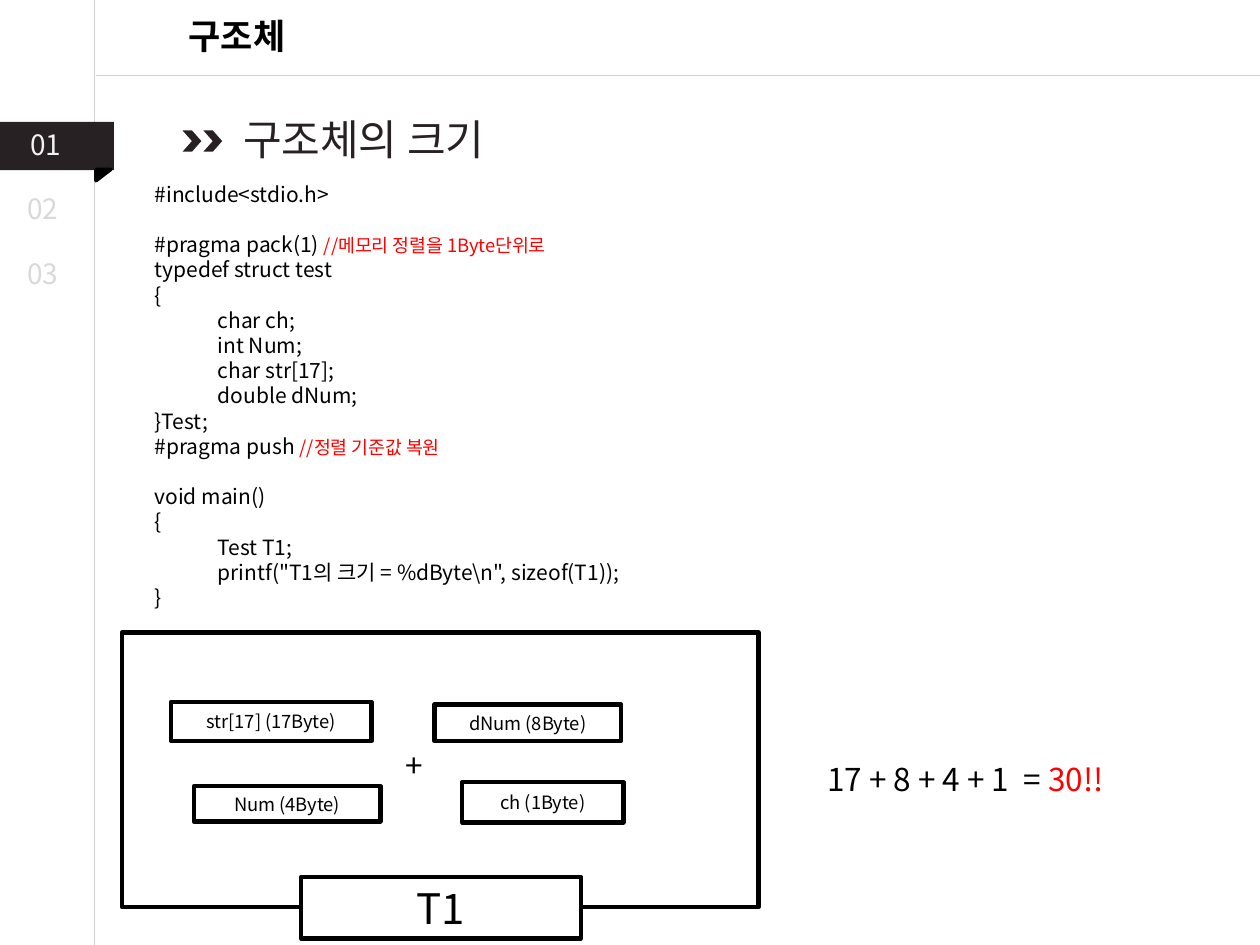
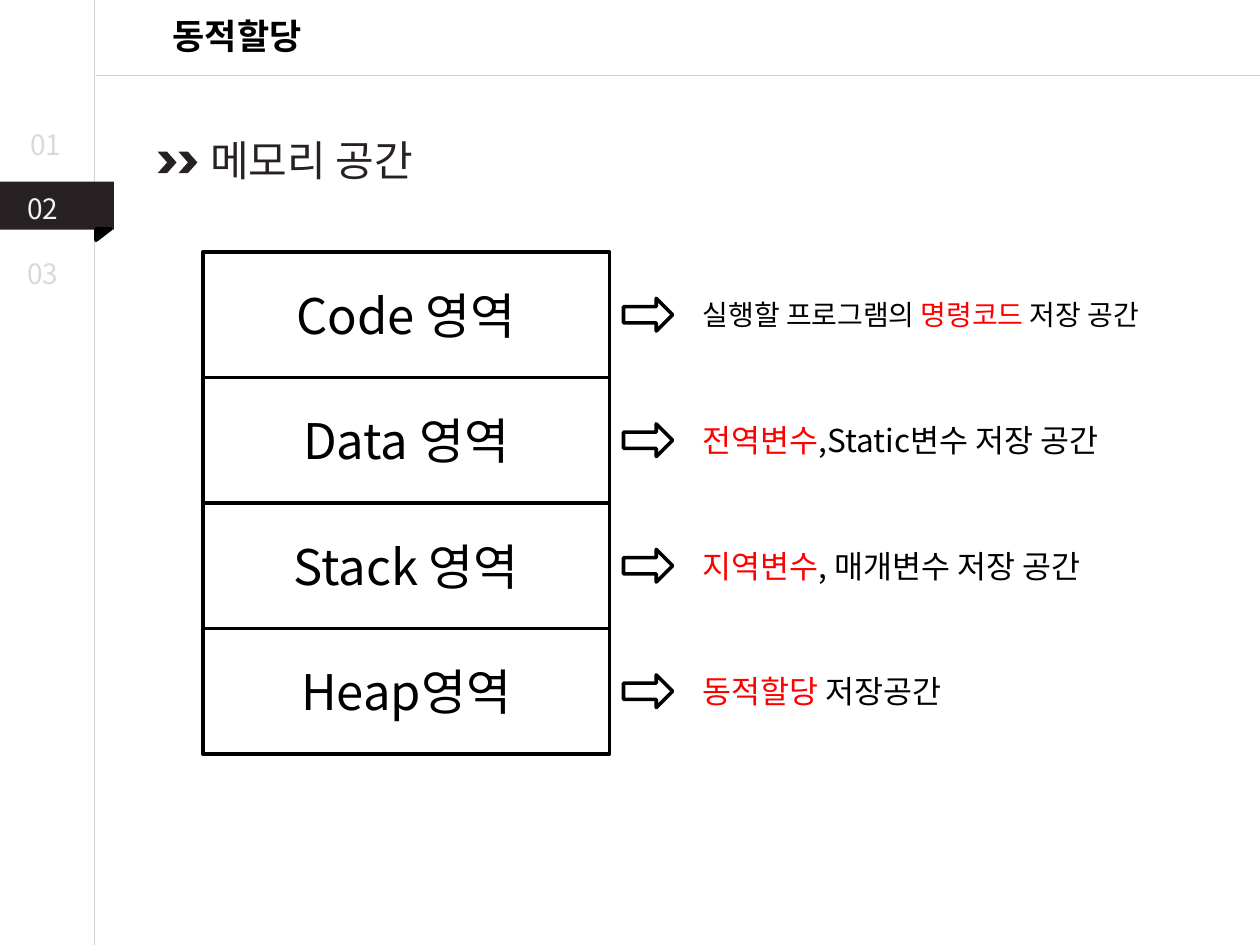
from lxml import etree
from pptx import Presentation
from pptx import util as u
from pptx.dml.color import RGBColor
from pptx.enum import shapes, text
from pptx.oxml import ns

FONT = "Noto Sans CJK KR"
HUES = {"ink": "000000", "dark": "272123", "red": "FF0000", "rule": "D2D2D2",
        "pale": "D9D9D9", "lit": "F2F2F2", "white": "FFFFFF"}
KIND = shapes.MSO_SHAPE
LEFT, MID = text.PP_ALIGN.LEFT, text.PP_ALIGN.CENTER

CODE = [
    [("#include<stdio.h>", "ink")],
    [],
    [("#pragma pack(1) ", "ink"), ("//메모리 정렬을 1Byte단위로", "red")],
    [("typedef struct test", "ink")],
    [("{", "ink")],
    [("\tchar ch;", "ink")],
    [("\tint Num;", "ink")],
    [("\tchar str[17];", "ink")],
    [("\tdouble dNum;", "ink")],
    [("}Test;", "ink")],
    [("#pragma push ", "ink"), ("//정렬 기준값 복원", "red")],
    [],
    [("void main()", "ink")],
    [("{", "ink")],
    [("\tTest T1;", "ink")],
    [("\tprintf(\"T1의 크기 = %dByte\\n\", sizeof(T1));", "ink")],
    [("}", "ink")],
]
PARTS = [
    ("T1", 24, (3.61, 4.93, 5.64, 1.24)),
    ("str[17] (17Byte)", 10.5, (0.99, 1.4, 4.04, 0.79)),
    ("dNum (8Byte)", 10.5, (6.3, 1.45, 3.76, 0.74)),
    ("Num (4Byte)", 10.5, (1.45, 3.1, 3.76, 0.71)),
    ("ch (1Byte)", 10.5, (6.86, 3.02, 3.25, 0.81)),
]
AREAS = [
    ("Code 영역", 16, [("실행할 프로그램의 ", "ink"), ("명령코드", "red"),
                     (" 저장 공간", "ink")]),
    ("Data 영역", 18, [("전역변수", "red"), (",Static변수 저장 공간", "ink")]),
    ("Stack 영역", 18, [("지역변수", "red"), (", 매개변수 저장 공간", "ink")]),
    ("Heap영역", 18, [("동적할당 ", "red"), ("저장공간", "ink")]),
]


def rgb(name):
    """Return the named colour."""
    return RGBColor.from_string(HUES[name])


def span(box):
    """Turn a box in centimetres into lengths."""
    return [u.Cm(v) for v in box]


def add_run(para, words, size, hue, bold=False):
    """Add one formatted run to a paragraph."""
    run = para.add_run()
    run.text = words
    font = run.font
    font.size, font.bold = u.Pt(size), bold
    font.color.rgb = rgb(hue)
    font.name = FONT
    etree.SubElement(font._element, ns.qn("a:ea"), typeface=FONT)


def add_text(slide, box, runs, size):
    """Add a text box holding one line of coloured runs."""
    frame = slide.shapes.add_textbox(*span(box)).text_frame
    frame.word_wrap = True
    for words, hue in runs:
        add_run(frame.paragraphs[0], words, size, hue)
    return frame


def add_form(slide, kind, box, fill=None, line=None, width=2, words="", size=12):
    """Add a flat preset shape with optional centred words."""
    form = slide.shapes.add_shape(kind, *span(box))
    form.shadow.inherit = False
    if fill:
        form.fill.solid()
        form.fill.fore_color.rgb = rgb(fill)
    else:
        form.fill.background()
    if line:
        form.line.color.rgb = rgb(line)
        form.line.width = u.Pt(width)
    else:
        form.line.fill.background()
    if words:
        frame = form.text_frame
        frame.vertical_anchor = text.MSO_ANCHOR.MIDDLE
        frame.paragraphs[0].alignment = MID
        add_run(frame.paragraphs[0], words, size, "ink")
    return form


def add_rule(slide, *ends):
    """Draw a thin grey rule."""
    rule = slide.shapes.add_connector(shapes.MSO_CONNECTOR.STRAIGHT, *span(ends))
    rule.line.color.rgb = rgb("rule")
    rule.line.width = u.Pt(0.75)
    etree.SubElement(rule._element.spPr, ns.qn("a:effectLst"))


def add_rail(slide, live):
    """Draw the chapter numbers with a ribbon behind the live one."""
    top = 2.46 + 1.2 * live
    add_form(slide, KIND.RECTANGLE, (0, top, 2.3, 0.97), "dark")
    fold = add_form(slide, KIND.RIGHT_TRIANGLE, (1.97, top + 0.92, 0.23, 0.3),
                    "ink", "ink")
    fold.rotation = 90
    for i in range(3):
        left = 0.3 if i else 0.36
        hue = "lit" if i == live else "pale"
        add_text(slide, (left, 2.44 + 1.3 * i, 1.4, 0.94), [(f"0{i + 1}", hue)], 16)


def add_page(deck, title, live):
    """Add a slide with its rules, title and chapter rail."""
    slide = deck.slides.add_slide(deck.slide_layouts[5])
    add_rule(slide, 1.9, 0, 1.9, 19.05)
    add_rule(slide, 25.4, 1.52, 1.93, 1.52)
    head = slide.shapes.title
    head.left, head.top, head.width, head.height = span((2.06, 0.15, 5.44, 1.12))
    frame = head.text_frame
    frame.auto_size = text.MSO_AUTO_SIZE.NONE
    frame.vertical_anchor = text.MSO_ANCHOR.MIDDLE
    frame.paragraphs[0].alignment = MID
    add_run(frame.paragraphs[0], title, 20, "ink", True)
    add_rail(slide, live)
    return slide


def add_topic(slide, x, y, words, gap):
    """Add a topic line led by two chevrons."""
    for i in range(2):
        add_form(slide, KIND.CHEVRON, (x + 0.42 * i, y + 0.47, 0.38, 0.43), "dark")
    add_text(slide, (x + gap, y, 7, 1.27), [(words, "dark")], 24)


def add_code(slide, box):
    """Write the listing, with space before each new section."""
    frame = add_text(slide, box, [], 12)
    para, skip = frame.paragraphs[0], False
    for i, line in enumerate(CODE):
        if not line:
            skip = True
            continue
        if i:
            para = frame.add_paragraph()
        para.alignment = LEFT
        if skip:
            para.space_before = u.Pt(14.4)
            skip = False
        for words, hue in line:
            add_run(para, words, 10.5 if hue == "red" else 12, hue)


def add_struct(slide, box):
    """Draw the struct frame and its member boxes."""
    x, y = box[:2]
    add_form(slide, KIND.RECTANGLE, box, None, "ink", 2.5)
    for words, size, (dx, dy, w, h) in PARTS:
        add_form(slide, KIND.RECTANGLE, (x + dx, y + dy, w, h), "white", "ink",
                 2.5, words, size)
    add_text(slide, (x + 5.46, y + 2.16, 0.97, 1.02), [("+", "ink")], 18)


def add_areas(slide, box):
    """Stack the memory areas, each with an arrow and a note."""
    x, y, w, h = box
    step = h / len(AREAS)
    for i, (name, size, note) in enumerate(AREAS):
        top = y + step * i
        mid = top + step / 2
        add_form(slide, KIND.RECTANGLE, (x, top, w, step), None, "ink", 2, name, 28)
        add_form(slide, KIND.RIGHT_ARROW, (x + w + 0.28, mid - 0.33, 0.99, 0.66),
                 None, "ink")
        tall = 0.94 if size == 16 else 1.02
        add_text(slide, (x + w + 1.63, mid - tall / 2, 10.6, tall), note, size)


def add_size(deck):
    """Build the slide on struct size."""
    slide = add_page(deck, "구조체", 0)
    add_code(slide, (2.87, 3.53, 21.41, 8.97))
    add_topic(slide, 3.68, 2.16, "구조체의 크기", 0.97)
    add_struct(slide, (2.46, 12.75, 12.83, 5.54))
    add_text(slide, (16.43, 15.19, 7.49, 1.02),
             [("17 + 8 + 4 + 1  = ", "ink"), ("30!!", "red")], 18)


def add_memo(deck):
    """Build the slide on memory areas."""
    slide = add_page(deck, "동적할당", 1)
    add_areas(slide, (4.09, 5.08, 8.2, 10.12))
    add_topic(slide, 3.18, 2.59, "메모리 공간", 0.81)


def main():
    """Build and save the deck."""
    deck = Presentation()
    deck.slide_width, deck.slide_height = u.Cm(25.4), u.Cm(19.05)
    add_size(deck)
    add_memo(deck)
    deck.save("out.pptx")


if __name__ == "__main__":
    main()
